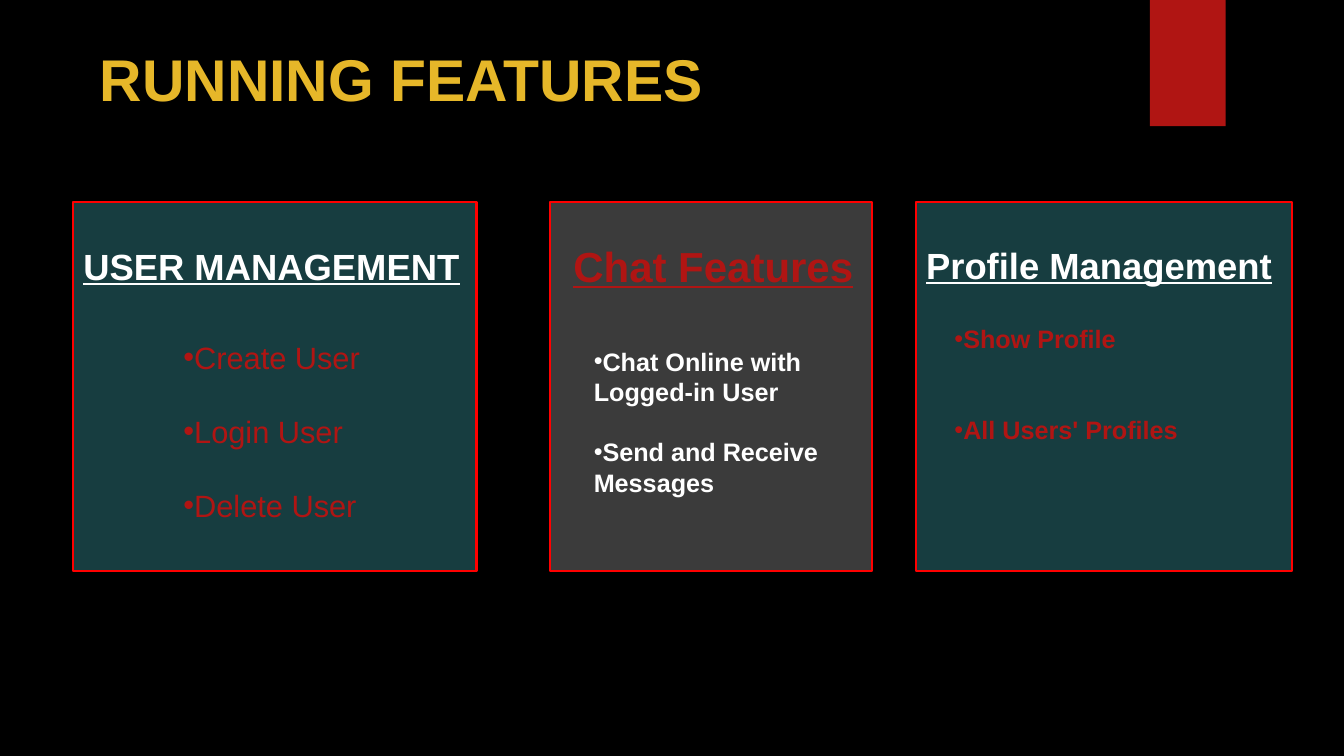
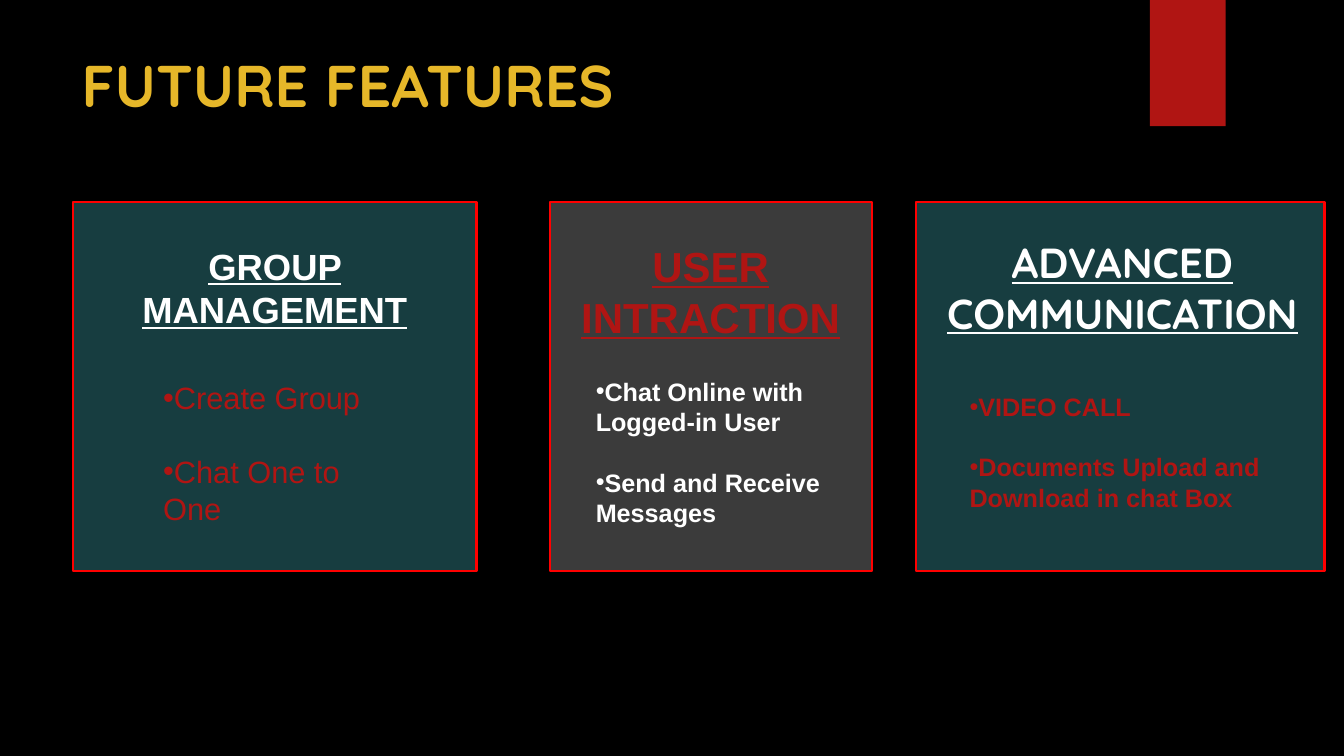
from pptx import Presentation
from pptx.dml.color import RGBColor
from pptx.enum.shapes import MSO_SHAPE as SHAPE
from pptx.enum.text import MSO_ANCHOR as ANCHOR, MSO_AUTO_SIZE as AUTO, PP_ALIGN as ALIGN
from pptx.oxml.ns import qn
from pptx.util import Cm, Pt
from lxml.etree import SubElement

COLORS = {"black": "000000", "red": "B01513", "gold": "E6B729", "teal": "173D40",
          "gray": "3B3B3B", "outline": "FF0000", "white": "FFFFFF"}
TITLE = {"size": 42, "color": "gold", "bold": True}
HEAD = {"size": 26, "color": "white", "bold": True, "underline": True}
HEAD_RED = HEAD | {"size": 30, "color": "red"}
ITEM = {"size": 22, "color": "red", "bold": False}
ITEM_BOLD = {"size": 18, "color": "red", "bold": True}
ITEM_WHITE = ITEM_BOLD | {"color": "white"}
CARD_TOP, CARD_H = 5.08, 9.3

SLIDES = [
    {"title": "RUNNING FEATURES", "font": "Arial", "box": (2.26, 0.94, 16.84, 2.06),
     "align": ALIGN.LEFT,
     "cards": [
         {"left": 1.85, "width": 10.16, "fill": "teal",
          "head": ("USER MANAGEMENT", (1.85, 6.02, 10.16, 1.37), HEAD),
          "items": ["Create User", "Login User", "Delete User"],
          "list": ((4.37, 8.41, 5.74, 4.95), ITEM, 1)},
         {"left": 13.87, "width": 8.1, "fill": "gray",
          "head": ("Chat Features", (14.2, 5.94, 8.53, 1.55), HEAD_RED),
          "items": ["Chat Online with Logged-in User", "Send and Receive Messages"],
          "list": ((14.71, 8.59, 6.4, 4.88), ITEM_WHITE, 1)},
         {"left": 23.09, "width": 9.47, "fill": "teal",
          "head": ("Profile Management", (23.09, 5.99, 9.5, 1.37), HEAD),
          "items": ["Show Profile", "All Users' Profiles"],
          "list": ((23.8, 8.03, 7.01, 4.11), ITEM_BOLD, 2)},
     ]},
    {"title": "FUTURE FEATURES", "font": "Quicksand", "box": (1.8, 1.09, 14.07, 2.06),
     "align": ALIGN.CENTER,
     "cards": [
         {"left": 1.85, "width": 10.16, "fill": "teal",
          "head": ("GROUP MANAGEMENT", (1.85, 6.02, 10.16, 2.49), HEAD),
          "items": ["Create Group", "Chat One to One"],
          "list": ((3.86, 9.42, 5.74, 4.01), ITEM, 1)},
         {"left": 13.87, "width": 8.1, "fill": "gray",
          "head": ("USER INTRACTION", (14.2, 5.94, 7.42, 2.82), HEAD_RED),
          "items": ["Chat Online with Logged-in User", "Send and Receive Messages"],
          "list": ((14.76, 9.35, 6.4, 4.88), ITEM_WHITE, 1)},
         {"left": 23.09, "width": 10.29, "fill": "teal",
          "head": ("ADVANCED COMMUNICATION", (23.19, 5.84, 10.19, 2.82),
                   HEAD | {"size": 30, "name": "Quicksand"}),
          "items": ["VIDEO CALL", "Documents Upload and Download in chat Box"],
          "list": ((24.18, 9.73, 8.99, 4.11), ITEM_BOLD, 1)},
     ]},
]


def add_rect(shapes, box, fill, line=None):
    sp = shapes.add_shape(SHAPE.RECTANGLE, *map(Cm, box))
    sp.shadow.inherit = False
    sp.fill.solid()
    sp.fill.fore_color.rgb = RGBColor.from_string(COLORS[fill])
    if line:
        sp.line.color.rgb = RGBColor.from_string(COLORS[line])
        sp.line.width = Pt(1.5)
    else:
        sp.line.fill.background()
    return sp


def set_text(sp, box, lines, fmt, align=ALIGN.LEFT, bullet=False, gap=0):
    sp.left, sp.top, sp.width, sp.height = map(Cm, box)
    tf = sp.text_frame
    tf.text = "\n".join(lines)
    tf.word_wrap, tf.auto_size, tf.vertical_anchor = True, AUTO.NONE, ANCHOR.TOP
    for i, p in enumerate(tf.paragraphs):
        p.alignment = align
        p.space_before = Pt(gap * fmt["size"] * 1.2 if i else 0)
        if bullet:
            pPr = p._p.get_or_add_pPr()
            pPr.set("marL", "0")
            pPr.set("indent", "0")
            SubElement(pPr, qn("a:buFont")).set("typeface", "Arial")
            SubElement(pPr, qn("a:buChar")).set("char", "•")
        for r in p.runs:
            for key, value in ({"name": "Arial"} | fmt).items():
                if key == "color":
                    r.font.color.rgb = RGBColor.from_string(COLORS[value])
                else:
                    setattr(r.font, key, Pt(value) if key == "size" else value)


prs = Presentation()
prs.slide_width, prs.slide_height = Cm(33.87), Cm(19.05)
layout = prs.slide_layouts.get_by_name("Comparison")
layout.background.fill.solid()
layout.background.fill.fore_color.rgb = RGBColor.from_string(COLORS["black"])

for n, spec_data in enumerate(SLIDES):
    s = prs.slides.add_slide(layout)
    if n == 0:
        ribbon = add_rect(s.shapes, (28.98, 0, 1.91, 3.18), "red")
        layout.shapes._spTree.insert(2, ribbon._element)
    set_text(s.shapes.title, spec_data["box"], [spec_data["title"]],
             TITLE | {"name": spec_data["font"]})
    bodies = {ph.placeholder_format.idx: ph for ph in s.placeholders}
    spare = bodies[3]._element
    spare.getparent().remove(spare)
    for i, (card, idx) in enumerate(zip(spec_data["cards"], (1, 2, 4))):
        sp = add_rect(s.shapes, (card["left"], CARD_TOP, card["width"], CARD_H),
                      card["fill"], "outline")
        s.shapes._spTree.insert(2 + i, sp._element)
        text, box, fmt = card["head"]
        set_text(s.shapes.add_textbox(0, 0, 0, 0), box, [text], fmt, spec_data["align"])
        box, fmt, gap = card["list"]
        set_text(bodies[idx], box, card["items"], fmt, bullet=True, gap=gap)

prs.save("out.pptx")
